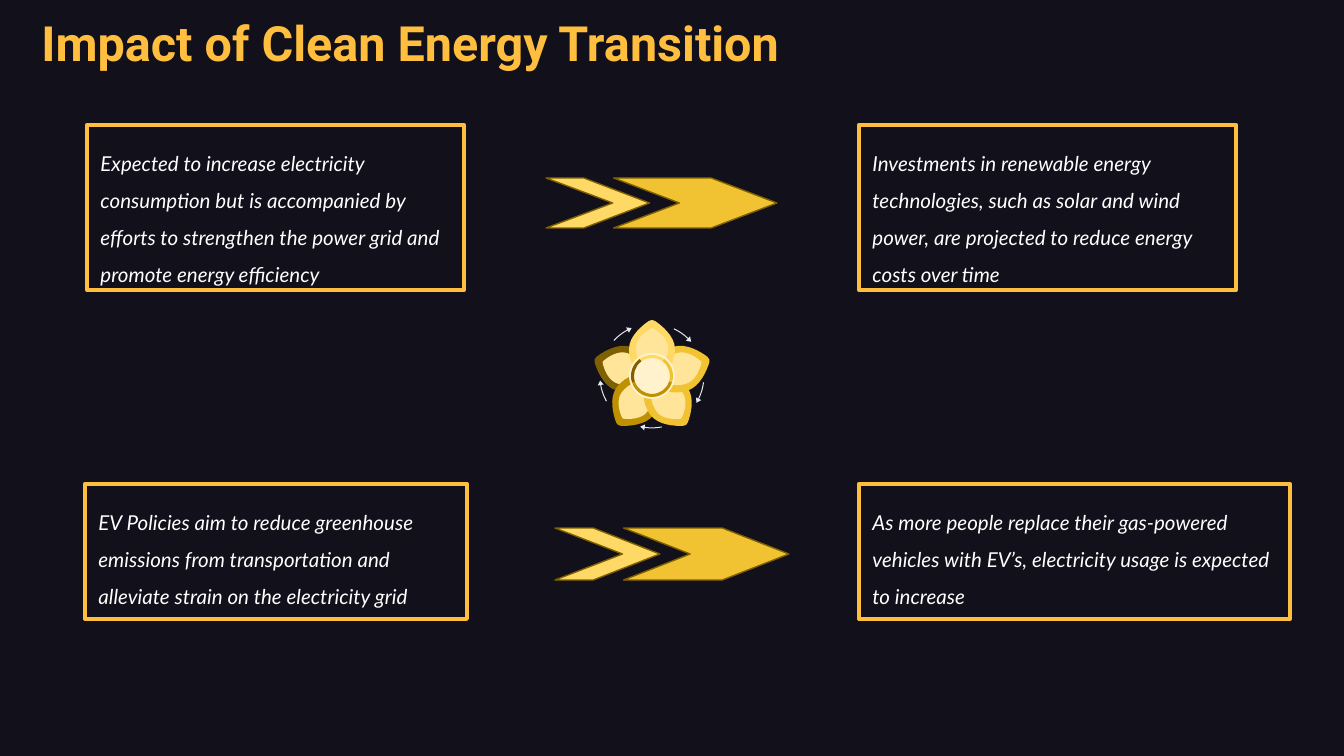
import math

import pptx
import pptx.dml.color
import pptx.enum.text
import pptx.util
from lxml import etree
from pptx.oxml.ns import qn

# ---- Content (lengths in px) ----
SLIDE_SIZE = (1344, 756)
TITLE = ("Impact of Clean Energy Transition", (28, 0, 1207, 65))
IMPACTS = [
    ("Expected to increase electricity consumption but is accompanied by "
     "efforts to strengthen the power grid and promote energy efficiency",
     (87, 125, 377, 165)),
    ("Investments in renewable energy technologies, such as solar and wind "
     "power, are projected to reduce energy costs over time",
     (859, 125, 377, 165)),
    ("EV Policies aim to reduce greenhouse emissions from transportation and "
     "alleviate strain on the electricity grid",
     (85, 484, 382, 135)),
    ("As more people replace their gas-powered vehicles with EV’s, "
     "electricity usage is expected to increase",
     (859, 484, 431, 135)),
]

THEME = {
    "background": "11101B", "accent": "FFBE3E", "text": "FFFFFF",
    "gold": "F1C232", "light": "FFD966", "edge": "7F6000",
    "pale": "FFE599", "cream": "FFF2CC", "bronze": "BF9000", "cycle": "E3E9ED",
    "title_font": "Roboto", "body_font": "Lato", "title_size": 26, "body_size": 11,
    "box_line": 2.25, "arrow_line": 0.75,
}

# Double arrows: left, top, width, height; parts are (tail, notch, shoulder, tip)
ARROWS = [(546, 178, 231, 50), (555, 528, 234, 52)]
ARROW_WIDTH = 232
ARROW_PARTS = [((68, 134, 166, 232), "gold"), ((0, 67, 38, 104), "light")]

# Flower: left half of the upright petal, from tip to base, as curve points
FLOWER_BASE, FLOWER_HUB = (652, 378), (652, 376)
OUTER_PETAL = [(0, -58), (-1, -58), (-2, -58), (-3, -57), (-9, -53),
               (-23, -42), (-23, -29), (-23, -13), (-13, 0), (0, 0)]
INNER_PETAL = [(0, -50), (-1, -50), (-1, -50), (-2, -49), (-7, -46),
               (-16, -39), (-16, -30), (-16, -18), (-9, -8), (0, -8)]
# Back to front: clockwise position, colour, length factor
PETALS = [(4, "edge", 1.04), (3, "bronze", 1), (2, "gold", 1),
          (1, "gold", 1.04), (0, "light", 1)]
RING = ["light", "gold", "bronze", "bronze", "edge"]
SECTOR = 72
DISC_RADIUS, RING_OUTER, RING_INNER = 23, 21, 18
CYCLE_RADIUS, CYCLE_START, CYCLE_NECK, CYCLE_TIP = 52, 25, 44, 49


def emu(px):
    return round(px * 914400 / 134.4)


def color(name):
    return pptx.dml.color.RGBColor.from_string(THEME[name])


def apply(target, formats):
    for name, value in formats.items():
        setattr(target, name, value)


def place(shape, box):
    apply(shape, dict(zip(("left", "top", "width", "height"), map(emu, box))))


def write(shape, wording, font, **spacing):
    frame = shape.text_frame
    inset = pptx.util.Inches(0.1)
    apply(frame, {"word_wrap": True,
                  "auto_size": pptx.enum.text.MSO_AUTO_SIZE.NONE,
                  "vertical_anchor": pptx.enum.text.MSO_ANCHOR.TOP,
                  "margin_left": inset, "margin_right": inset,
                  "margin_top": inset, "margin_bottom": inset})
    paragraph = frame.paragraphs[0]
    properties = paragraph._p.get_or_add_pPr()
    properties.set("marL", "0")
    properties.set("indent", "0")
    etree.SubElement(properties, qn("a:buNone"))
    apply(paragraph, {"alignment": pptx.enum.text.PP_ALIGN.LEFT,
                      "space_before": pptx.util.Pt(0), **spacing})
    run = paragraph.add_run()
    run.text = wording
    ink = font.pop("ink")
    apply(run.font, font)
    run.font.color.rgb = color(ink)


def outline(group, start, segments, fill, line=None):
    """Draw a closed shape; a segment is one line point or three curve points."""
    points = [(emu(x), emu(y)) for segment in segments for x, y in segment]
    builder = group.shapes.build_freeform(*map(emu, start), scale=1.0)
    builder.add_line_segments(points, close=True)
    shape = builder.convert_to_shape()
    # Join the three points of each curve into one cubic element
    steps = iter(list(shape._element.iter(qn("a:lnTo"))))
    for segment in segments:
        first, *others = [next(steps) for _ in segment]
        if others:
            first.tag = qn("a:cubicBezTo")
            for step in others:
                first.append(step[0])
                step.getparent().remove(step)
    shape.shadow.inherit = False
    shape.fill.solid()
    shape.fill.fore_color.rgb = color(fill)
    if line:
        shape.line.color.rgb = color(line)
        shape.line.width = pptx.util.Pt(THEME["arrow_line"])
    else:
        shape.line.fill.background()


def draw_petal(group, half, position, length, fill):
    turn = math.radians(SECTOR * position)
    whole = half + [(-x, y) for x, y in half[-2::-1]]
    start, *points = [
        (FLOWER_BASE[0] + x * math.cos(turn) - y * length * math.sin(turn),
         FLOWER_BASE[1] + x * math.sin(turn) + y * length * math.cos(turn))
        for x, y in whole]
    outline(group, start, [points[i:i + 3] for i in range(0, len(points), 3)], fill)


def polar(radius, degrees, along=0):
    """Point around the hub, clockwise from the top, moved along the tangent."""
    angle = math.radians(degrees)
    return (FLOWER_HUB[0] + radius * math.sin(angle) + along * math.cos(angle),
            FLOWER_HUB[1] - radius * math.cos(angle) + along * math.sin(angle))


def arc(radius, start, end):
    reach = 4 / 3 * math.tan(math.radians(end - start) / 4) * radius
    return [polar(radius, start, reach), polar(radius, end, -reach), polar(radius, end)]


def draw_arrow(slide, left, top, width, height):
    group = slide.shapes.add_group_shape()
    for (tail, notch, shoulder, tip), fill in ARROW_PARTS:
        corners = [(tail, 0), (notch, 0.5), (tail, 1), (shoulder, 1), (tip, 0.5), (shoulder, 0)]
        start, *rest = [(left + x * width / ARROW_WIDTH, top + y * height) for x, y in corners]
        outline(group, start, [[point] for point in rest], fill, "edge")


def draw_flower(slide):
    group = slide.shapes.add_group_shape()
    for position, fill, length in PETALS:
        draw_petal(group, OUTER_PETAL, position, length, fill)
        draw_petal(group, INNER_PETAL, position, length, "pale")
    # Hub disc and its ring
    outline(group, polar(DISC_RADIUS, 0),
            [arc(DISC_RADIUS, a, a + 90) for a in range(0, 360, 90)], "cream")
    for position, fill in enumerate(RING):
        start, end = SECTOR * (position - 0.5), SECTOR * (position + 0.5)
        outline(group, polar(RING_OUTER, start),
                [arc(RING_OUTER, start, end), [polar(RING_INNER, end)],
                 arc(RING_INNER, end, start)], fill)
    # Thin clockwise cycle arrows
    outer, inner = CYCLE_RADIUS + 0.5, CYCLE_RADIUS - 0.5
    for position in range(len(RING)):
        start, neck, tip = (SECTOR * position + a for a in (CYCLE_START, CYCLE_NECK, CYCLE_TIP))
        head = [polar(CYCLE_RADIUS + 3, neck), polar(CYCLE_RADIUS, tip),
                polar(CYCLE_RADIUS - 3, neck), polar(inner, neck)]
        outline(group, polar(outer, start),
                [arc(outer, start, neck), *[[point] for point in head],
                 arc(inner, neck, start)], "cycle")


def main():
    deck = pptx.Presentation()
    deck.slide_width, deck.slide_height = map(emu, SLIDE_SIZE)
    slide = deck.slides.add_slide(deck.slide_layouts.get_by_name("Comparison"))
    slide.background.fill.solid()
    slide.background.fill.fore_color.rgb = color("background")

    # Title and the four impact boxes
    heading, *boxes = slide.placeholders
    wording, area = TITLE
    place(heading, area)
    write(heading, wording, {"name": THEME["title_font"], "bold": True, "ink": "accent",
                             "size": pptx.util.Pt(THEME["title_size"])})
    for box, (wording, area) in zip(boxes, IMPACTS):
        place(box, area)
        box.line.color.rgb = color("accent")
        box.line.width = pptx.util.Pt(THEME["box_line"])
        write(box, wording, {"name": THEME["body_font"], "bold": False, "italic": True,
                             "ink": "text", "size": pptx.util.Pt(THEME["body_size"])},
              line_spacing=1.5)

    # Arrows and flower
    for arrow in ARROWS:
        draw_arrow(slide, *arrow)
    draw_flower(slide)
    deck.save("out.pptx")


if __name__ == "__main__":
    main()
